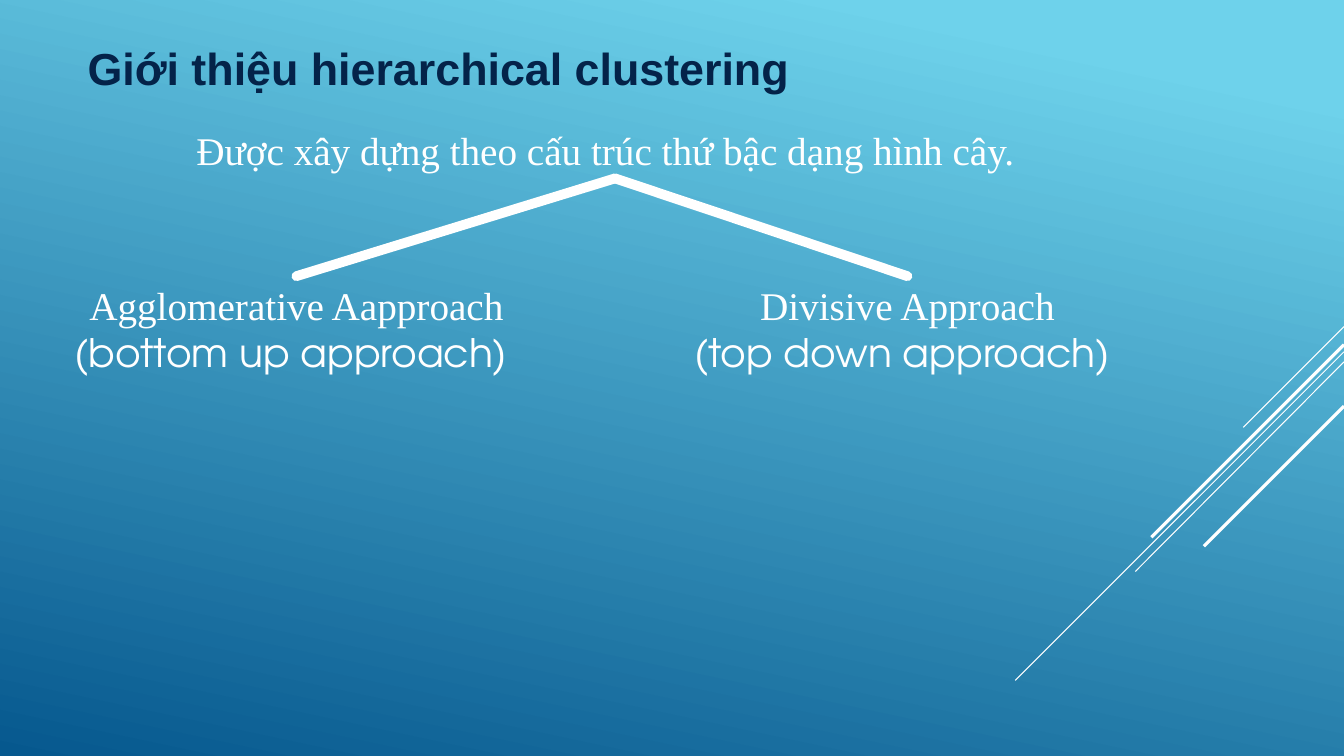
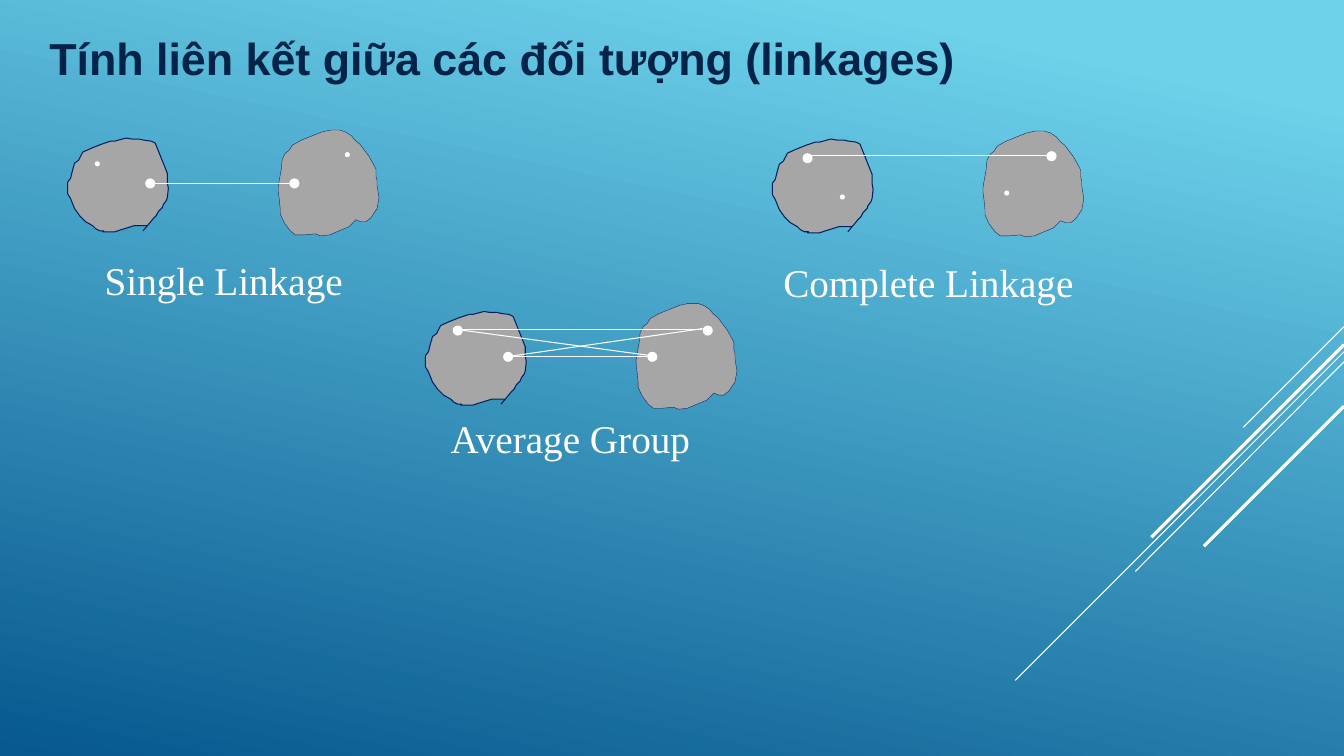
import pptx
import pptx.util
import pptx.dml.color
import pptx.enum.shapes
import pptx.enum.text
import pptx.oxml
import pptx.oxml.ns
from dataclasses import dataclass

Inches = pptx.util.Inches
Pt = pptx.util.Pt
Align = pptx.enum.text.PP_ALIGN


@dataclass(frozen=True)
class Theme:
    """Colours, fonts and type sizes of the deck."""
    white: str = "FFFFFF"
    cluster: str = "A6A6A6"
    outline: str = "002060"
    background: tuple = ((0.1, "6ED2EB"), (1, "06588E"))
    title_fill: tuple = ((0, "042349"), (1, "7C0B61"))
    angle: int = 258
    title_font: str = "Arial"
    body_font: str = "Times New Roman"
    accent_font: str = "TeX Gyre Adventor"
    title_size: int = 32
    body_size: int = 28
    thin: float = 0.75
    medium: float = 2.25
    thick: float = 7


THEME = Theme()

# Corner rays: start and end points, line weight
RAYS = [
    ((13.33, 3.24), (12.33, 4.24), THEME.thin),
    ((13.33, 3.49), (10.07, 6.75), THEME.thin),
    ((13.33, 3.59), (11.26, 5.67), THEME.thin),
    ((13.33, 3.42), (11.42, 5.33), THEME.medium),
    ((13.33, 4.03), (11.94, 5.42), THEME.medium),
]

INTRO_TITLE = ("Giới thiệu hierarchical clustering", (0.77, 0.36, 8.69, 0.64))
LINKAGE_TITLE = ("Tính liên kết giữa các đối tượng (linkages)",
                 (-0.11, 0.22, 11.98, 0.65))
INTRO = ("Được xây dựng theo cấu trúc thứ bậc dạng hình cây.",
         (1.85, 1.2, 8.5, 0.57))
APEX = (6.1, 1.77)
BRANCH_TOP = 2.74
# Branch heading, explanation, left edge, width
BRANCHES = [
    ("Agglomerative Aapproach", "(bottom up approach) ", 0.35, 5.18),
    ("Divisive Approach", "(top down approach) ", 6.75, 4.5),
]

# Cluster outlines, placed for the first pair
LEFT_CLUSTER = [
    (1.42, 2.29), (1.52, 2.17), (1.55, 2.14), (1.57, 2.1), (1.61, 2.06),
    (1.62, 2.03), (1.65, 1.99), (1.66, 1.96), (1.67, 1.87), (1.66, 1.81),
    (1.66, 1.72), (1.62, 1.62), (1.58, 1.52), (1.54, 1.42), (1.5, 1.4),
    (1.42, 1.39), (1.38, 1.38), (1.31, 1.38), (1.25, 1.37), (1.14, 1.4),
    (1.1, 1.4), (1.01, 1.43), (0.91, 1.47), (0.82, 1.51), (0.78, 1.59),
    (0.74, 1.62), (0.72, 1.69), (0.71, 1.73), (0.7, 1.77), (0.67, 1.81),
    (0.67, 1.92), (0.7, 1.97), (0.74, 2.07), (0.79, 2.14), (0.83, 2.18),
    (0.85, 2.2), (0.92, 2.24), (0.95, 2.27), (0.99, 2.29), (1.03, 2.29),
    (1.02, 2.3), (1.07, 2.3), (1.14, 2.3), (1.2, 2.28), (1.33, 2.24),
    (1.4, 2.24), (1.46, 2.24),
]
RIGHT_CLUSTER = [
    (3.73, 1.68), (3.71, 1.64), (3.66, 1.55), (3.6, 1.47), (3.57, 1.43),
    (3.52, 1.39), (3.49, 1.35), (3.43, 1.31), (3.37, 1.29), (3.28, 1.29),
    (3.19, 1.31), (3.09, 1.35), (2.99, 1.39), (2.9, 1.44), (2.87, 1.49),
    (2.83, 1.52), (2.8, 1.58), (2.79, 1.68), (2.77, 1.79), (2.76, 1.85),
    (2.76, 1.9), (2.77, 1.97), (2.78, 2.07), (2.78, 2.12), (2.82, 2.21),
    (2.88, 2.29), (2.93, 2.33), (3.02, 2.33), (3.13, 2.32), (3.18, 2.34),
    (3.27, 2.33), (3.34, 2.3), (3.46, 2.25), (3.53, 2.18), (3.58, 2.2),
    (3.63, 2.2), (3.68, 2.16), (3.74, 2.07), (3.76, 1.96), (3.75, 1.9),
    (3.74, 1.84), (3.74, 1.79), (3.73, 1.75),
]
# Outline points, closed or not, outline weight
CLUSTERS = [(LEFT_CLUSTER, False, 0.75), (RIGHT_CLUSTER, True, 0.25)]

BIG_DOT, SMALL_DOT = 0.1, 0.05
# Dots (left, top, size) and links (start, end) lie relative to the first pair
LINKAGES = [
    {"caption": "Single Linkage", "box": (0.94, 2.49, 2.59, 0.57),
     "shift": (0, 0),
     "dots": [(1.44, 1.77, BIG_DOT), (0.94, 1.6, SMALL_DOT),
              (2.87, 1.77, BIG_DOT), (3.42, 1.51, SMALL_DOT)],
     "links": [((1.53, 1.82), (2.88, 1.82))]},
    {"caption": "Complete Linkage", "box": (7.67, 2.51, 3.11, 0.57),
     "shift": (6.99, 0.01),
     "dots": [(0.97, 1.51, BIG_DOT), (1.34, 1.92, SMALL_DOT),
              (3.39, 1.49, BIG_DOT), (2.97, 1.88, SMALL_DOT)],
     "links": [((1.04, 1.53), (3.43, 1.53))]},
    {"caption": "Average Group", "box": (4.37, 4.06, 2.6, 0.57),
     "shift": (3.55, 1.72),
     "dots": [(1.44, 1.77, BIG_DOT), (0.94, 1.51, BIG_DOT),
              (2.87, 1.77, BIG_DOT), (3.42, 1.51, BIG_DOT)],
     "links": [((1.53, 1.82), (2.87, 1.82)), ((1.03, 1.55), (3.41, 1.55)),
               ((0.99, 1.55), (2.92, 1.81)), ((3.42, 1.54), (1.54, 1.81))]},
]


def rgb(code):
    """Turn a hex code into a colour."""
    return pptx.dml.color.RGBColor.from_string(code)


def moved(point, shift):
    """Return the point in inches after the shift."""
    return Inches(point[0] + shift[0]), Inches(point[1] + shift[1])


def set_gradient(fill, stops):
    """Give a fill two colour stops at the theme's angle."""
    fill.gradient()
    fill.gradient_angle = THEME.angle
    for stop, (position, code) in zip(fill.gradient_stops, stops):
        stop.position = position
        stop.color.rgb = rgb(code)


def add_line(page, start, end, weight, shift=(0, 0), cap="flat"):
    """Draw a white straight line without shadow."""
    line = page.shapes.add_connector(
        pptx.enum.shapes.MSO_CONNECTOR.STRAIGHT,
        *moved(start, shift), *moved(end, shift))
    line.line.color.rgb = rgb(THEME.white)
    line.line.width = Pt(weight)
    properties = line._element.spPr
    properties.find(pptx.oxml.ns.qn("a:ln")).set("cap", cap)
    properties.append(pptx.oxml.parse_xml(
        "<a:effectLst %s/>" % pptx.oxml.ns.nsdecls("a")))


def add_text(page, lines, box, align=Align.LEFT, wrap=False):
    """Add a text box of (text, font) lines and return its frame."""
    frame = page.shapes.add_textbox(*map(Inches, box)).text_frame
    frame.word_wrap = wrap
    frame.auto_size = pptx.enum.text.MSO_AUTO_SIZE.SHAPE_TO_FIT_TEXT
    frame.text = "\n".join(text for text, font in lines)
    for para, (text, font) in zip(frame.paragraphs, lines):
        para.alignment = align
        span = para.runs[0]
        span.font.name = font
        span.font.size = Pt(THEME.body_size)
        span.font.color.rgb = rgb(THEME.white)
    return frame


def add_title(page, text, box):
    """Add the bold gradient title and return its paragraph."""
    para = add_text(page, [(text, THEME.title_font)], box).paragraphs[0]
    font = para.runs[0].font
    font.size = Pt(THEME.title_size)
    font.bold = True
    set_gradient(font.fill, THEME.title_fill)
    return para


def add_page(deck):
    """Add a blank page with the corner rays."""
    page = deck.slides.add_slide(deck.slide_layouts[6])
    for start, end, weight in RAYS:
        add_line(page, start, end, weight)
    return page


def add_cluster(page, points, closed, weight, shift):
    """Draw one grey cluster outline."""
    corners = [moved(point, shift) for point in points]
    builder = page.shapes.build_freeform(*corners[0])
    builder.add_line_segments(corners[1:], close=closed)
    cluster = builder.convert_to_shape()
    cluster.shadow.inherit = False
    cluster.fill.solid()
    cluster.fill.fore_color.rgb = rgb(THEME.cluster)
    cluster.line.color.rgb = rgb(THEME.outline)
    cluster.line.width = Pt(weight)


def add_dot(page, left, top, size, shift):
    """Draw one white data point."""
    dot = page.shapes.add_shape(
        pptx.enum.shapes.MSO_SHAPE.FLOWCHART_CONNECTOR,
        *moved((left, top), shift), Inches(size), Inches(size))
    dot.shadow.inherit = False
    dot.fill.solid()
    dot.fill.fore_color.rgb = rgb(THEME.white)
    dot.line.fill.background()


def build_intro(deck):
    """Build the page with the two clustering approaches."""
    page = add_page(deck)
    add_title(page, *INTRO_TITLE)
    add_text(page, [(INTRO[0], THEME.body_font)], INTRO[1])
    for heading, note, left, width in BRANCHES:
        lines = [(heading, THEME.body_font), (note, THEME.accent_font)]
        add_text(page, lines, (left, BRANCH_TOP, width, 1.04),
                 Align.CENTER, wrap=True)
        add_line(page, APEX, (left + width / 2, BRANCH_TOP),
                 THEME.thick, cap="rnd")


def build_linkages(deck):
    """Build the page with the three linkage diagrams."""
    page = add_page(deck)
    title = add_title(page, *LINKAGE_TITLE)
    title.alignment = Align.JUSTIFY
    title.line_spacing = 1.07
    title.space_after = Pt(8)
    title._p.get_or_add_pPr().set("marL", str(Inches(0.5)))
    for linkage in LINKAGES:
        shift = linkage["shift"]
        for points, closed, weight in CLUSTERS:
            add_cluster(page, points, closed, weight, shift)
        for dot in linkage["dots"]:
            add_dot(page, *dot, shift)
        for start, end in linkage["links"]:
            add_line(page, start, end, THEME.thin, shift)
        add_text(page, [(linkage["caption"], THEME.body_font)],
                 linkage["box"])


def main():
    """Build and save the deck."""
    deck = pptx.Presentation()
    deck.slide_width = Inches(13.33)
    deck.slide_height = Inches(7.5)
    set_gradient(deck.slide_master.background.fill, THEME.background)
    build_intro(deck)
    build_linkages(deck)
    deck.save("out.pptx")


main()
